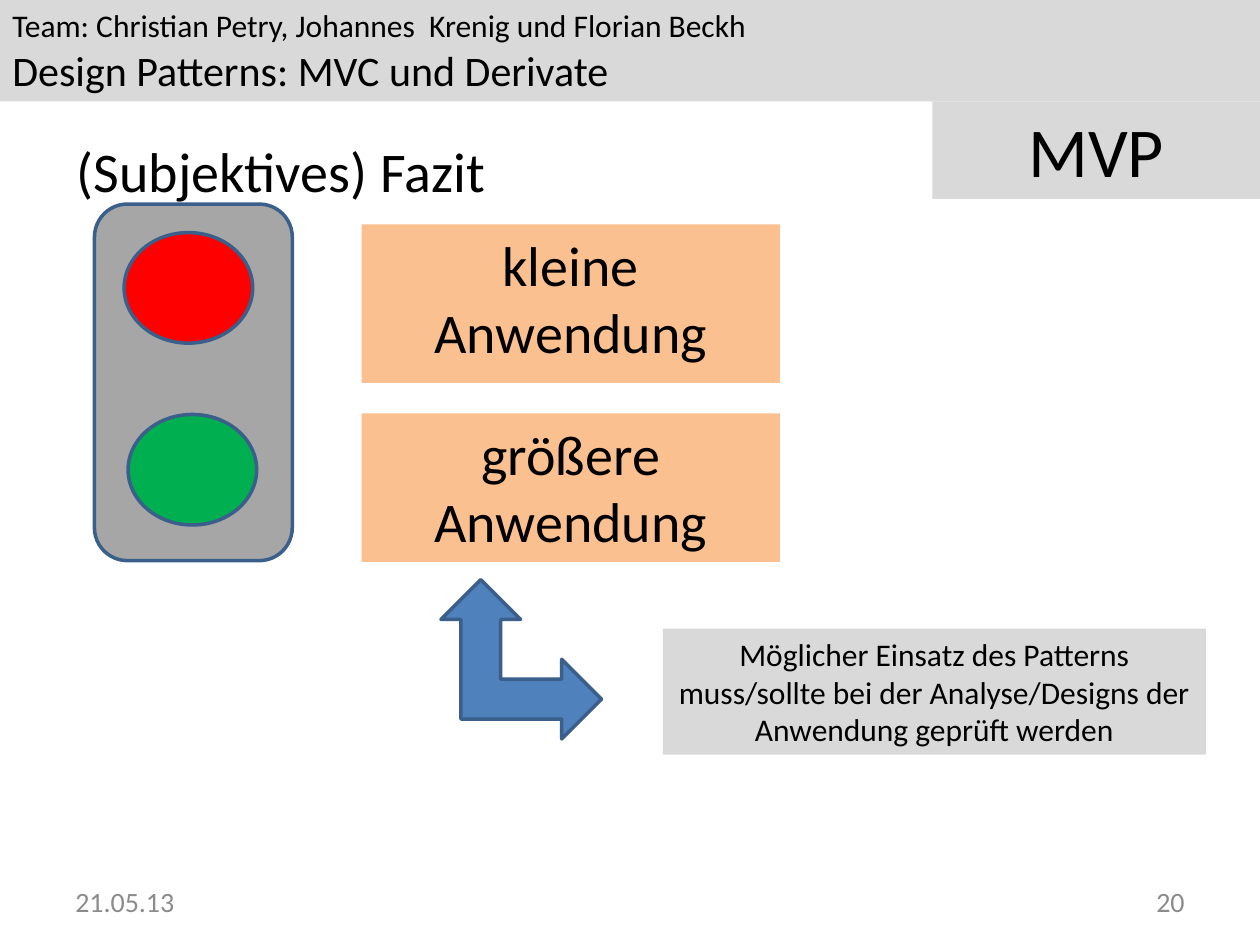
from typing import NamedTuple

from pptx import Presentation
from pptx import util as u
from pptx.dml.color import RGBColor
from pptx.enum import shapes, text

COLUMNS, ROWS = 10, 7.5
FONT = "Calibri"
BLACK = RGBColor(0x00, 0x00, 0x00)
MUTED = RGBColor(0x8B, 0x8B, 0x8B)
PANEL = RGBColor(0xD9, 0xD9, 0xD9)
HOUSING = RGBColor(0xA6, 0xA6, 0xA6)
PEACH = RGBColor(0xFA, 0xC0, 0x90)
BLUE = RGBColor(0x4F, 0x81, 0xBD)
OUTLINE = RGBColor(0x3A, 0x5F, 0x8B)
RED = RGBColor(0xFF, 0x00, 0x00)
GREEN = RGBColor(0x00, 0xB0, 0x50)
KIND = shapes.MSO_SHAPE
ALIGN = text.PP_ALIGN
ANCHOR = text.MSO_ANCHOR


class Box(NamedTuple):
    """An area in one-inch columns and rows of the slide."""
    left: float
    top: float
    width: float
    height: float

    def share(self, x, y, width, height):
        """Return the inner area given as shares of this one."""
        return Box(self.left + x * self.width, self.top + y * self.height,
                   width * self.width, height * self.height)

    def lengths(self):
        """Return left, top, width and height as slide lengths."""
        return [u.Inches(length) for length in self]


def write(frame, lines, align=ALIGN.LEFT, anchor=ANCHOR.TOP, color=BLACK):
    """Fill a text frame with (wording, size) lines."""
    frame.word_wrap = True
    frame.vertical_anchor = anchor
    for index, (wording, size) in enumerate(lines):
        paragraph = frame.add_paragraph() if index else frame.paragraphs[0]
        paragraph.alignment = align
        run = paragraph.add_run()
        run.text = wording
        run.font.name = FONT
        run.font.size = u.Pt(size)
        run.font.color.rgb = color


def draw(slide, kind, box, fill, outlined=False):
    """Add a flat preset shape, with or without the blue outline."""
    shape = slide.shapes.add_shape(kind, *box.lengths())
    shape.shadow.inherit = False
    shape.fill.solid()
    shape.fill.fore_color.rgb = fill
    if outlined:
        shape.line.color.rgb = OUTLINE
        shape.line.width = u.Pt(2)
    else:
        shape.line.fill.background()
    return shape


def panel(slide, box, fill, lines, align=ALIGN.CENTER):
    """Add a filled rectangle with text starting at its top."""
    write(draw(slide, KIND.RECTANGLE, box, fill).text_frame, lines, align)


def header(slide, box):
    """Place the team band and the pattern badge."""
    panel(slide, box.share(0, 0, 1, 0.51), PANEL,
          [("Team: Christian Petry, Johannes  Krenig und Florian Beckh", 18),
           ("Design Patterns: MVC und Derivate", 24)], ALIGN.LEFT)
    panel(slide, box.share(0.74, 0.51, 0.26, 0.49), PANEL, [("MVP", 40)])


def heading(slide, box):
    """Move and fill the title placeholder."""
    title = slide.shapes.title
    title.left, title.top, title.width, title.height = box.lengths()
    write(title.text_frame, [("(Subjektives) Fazit", 32)], anchor=ANCHOR.MIDDLE)


def footer(slide, box):
    """Place the date on the left and the slide number on the right."""
    for x, wording, align in ((0, "21.05.13", ALIGN.LEFT), (0.74, "20", ALIGN.RIGHT)):
        entry = slide.shapes.add_textbox(*box.share(x, 0, 0.26, 1).lengths())
        write(entry.text_frame, [(wording, 16)], align, ANCHOR.MIDDLE, MUTED)


def verdicts(slide, box):
    """Stack the two application sizes."""
    for y, height, wording in ((0, 0.47, "kleine Anwendung"),
                               (0.56, 0.44, "größere Anwendung")):
        panel(slide, box.share(0, y, 1, height), PEACH, [(wording, 32)])


def advice(slide, box):
    """Place the two-way arrow and the note it leads to."""
    arrow = draw(slide, KIND.LEFT_UP_ARROW, box.share(0, 0, 0.21, 0.91), BLUE, True)
    arrow._element.spPr.xfrm.set("flipH", "1")
    panel(slide, box.share(0.29, 0.28, 0.71, 0.72), PANEL,
          [("Möglicher Einsatz des Patterns muss/sollte bei der "
            "Analyse/Designs der Anwendung geprüft werden", 18)])


def traffic_light(slide, box):
    """Draw the housing with its red and green lamps."""
    draw(slide, KIND.FLOWCHART_ALTERNATE_PROCESS, box, HOUSING, True)
    for x, y, color in ((0.15, 0.08, RED), (0.17, 0.59, GREEN)):
        draw(slide, KIND.OVAL, box.share(x, y, 0.65, 0.31), color, True)


def main():
    """Build the slide and save it."""
    deck = Presentation()
    deck.slide_width, deck.slide_height = u.Inches(COLUMNS), u.Inches(ROWS)
    slide = deck.slides.add_slide(deck.slide_layouts[5])
    header(slide, Box(0, 0, COLUMNS, 1.58))
    heading(slide, Box(0.51, 0.84, 9, 1.02))
    footer(slide, Box(0.5, 6.95, 9, 0.4))
    verdicts(slide, Box(2.87, 1.78, 3.32, 2.68))
    advice(slide, Box(3.5, 4.6, 6.07, 1.39))
    traffic_light(slide, Box(0.75, 1.62, 1.57, 2.83))
    deck.save("out.pptx")


if __name__ == "__main__":
    main()
